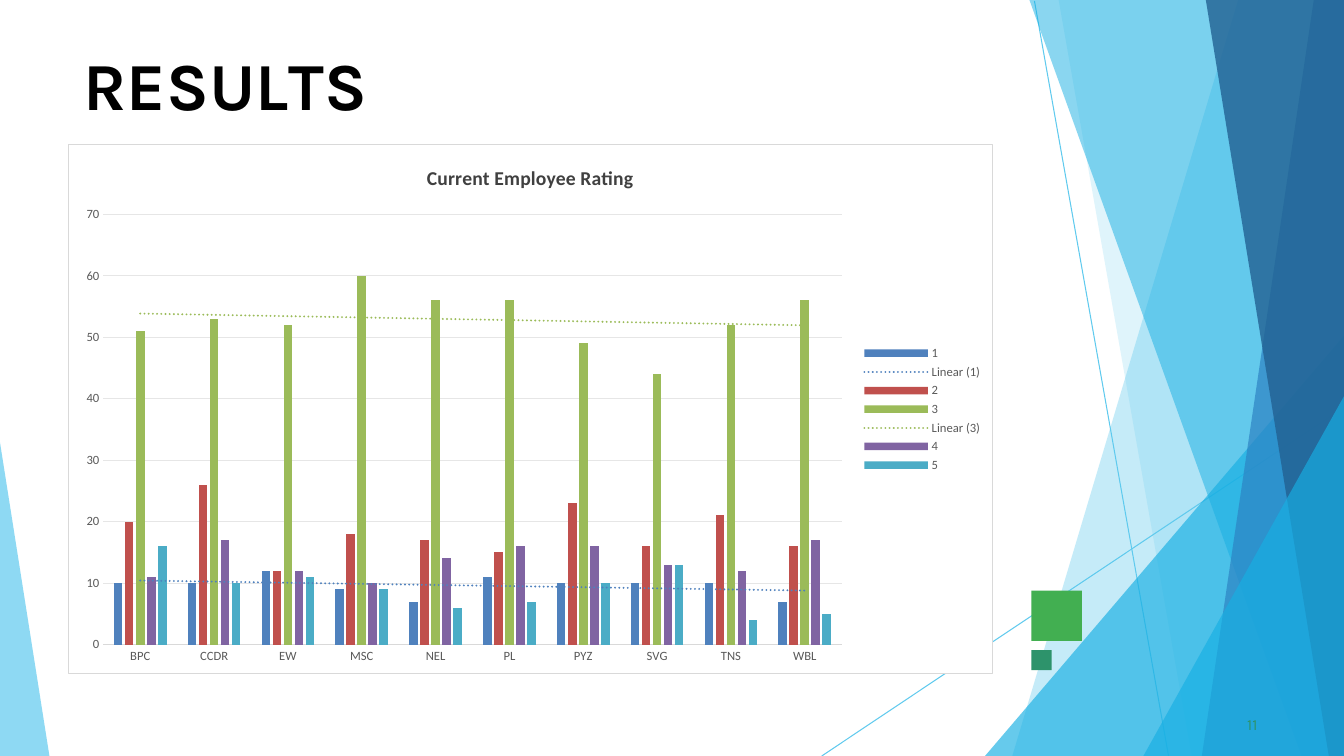
from typing import NamedTuple

from lxml import etree
from pptx import Presentation
from pptx import util as u
from pptx.chart import data as chart_data
from pptx.dml.color import RGBColor
from pptx.enum import chart as chart_enum
from pptx.enum import dml, shapes, text
from pptx.oxml import parse_xml
from pptx.oxml.ns import nsdecls, qn

SKY, CYAN, BLUE, NAVY = "5FCAEE", "17AFE3", "2D83C3", "226192"
LABEL_GREY = "595959"
WIDTH, HEIGHT = 13.33, 7.5


class Facet(NamedTuple):
    points: list[tuple[float, float]]
    color: str
    opacity: int


class Ray(NamedTuple):
    start: tuple[float, float]
    end: tuple[float, float]


class Square(NamedTuple):
    left: float
    top: float
    side: float
    color: str


class Rating(NamedTuple):
    name: str
    counts: list[int]
    color: str
    trend: bool = False


def right_facet(edge: list[tuple[float, float]], color: str, opacity: int) -> Facet:
    """Facet between its left edge and the right side of the slide."""
    return Facet([(WIDTH, edge[0][1]), *edge, (WIDTH, HEIGHT)], color, opacity)


RAYS = [Ray((10.26, 0.01), (11.59, 7.5)), Ray((13.33, 4.04), (8.15, 7.5))]
FACETS = [
    right_facet([(12.28, 0), (10.04, HEIGHT)], SKY, 36),
    right_facet([(10.5, 0), (11.82, HEIGHT)], SKY, 20),
    right_facet([(WIDTH, 3.33), (9.77, HEIGHT)], CYAN, 66),
    right_facet([(10.21, 0), (12.91, HEIGHT)], CYAN, 50),
    right_facet([(13.03, 0), (11.92, HEIGHT)], BLUE, 70),
    right_facet([(11.96, 0), (13.18, HEIGHT)], NAVY, 80),
    right_facet([(WIDTH, 3.93), (11.34, HEIGHT)], CYAN, 66),
    Facet([(0, 4.39), (0, HEIGHT), (0.49, HEIGHT)], SKY, 70),
]
SQUARES = [Square(10.23, 5.86, 0.5, "42AF51"), Square(10.23, 6.45, 0.2, "2D936B")]
TITLE_SPACING = [("R", 0), ("E", -0.4), ("S", 0.1), ("U", -0.3), ("L", -4), ("TS", 0)]
UNITS = ["BPC", "CCDR", "EW", "MSC", "NEL", "PL", "PYZ", "SVG", "TNS", "WBL"]
RATINGS = [
    Rating("1", [10, 10, 12, 9, 7, 11, 10, 10, 10, 7], "4F81BD", trend=True),
    Rating("2", [20, 26, 12, 18, 17, 15, 23, 16, 21, 16], "C0504D"),
    Rating("3", [51, 53, 52, 60, 56, 56, 49, 44, 52, 56], "9BBB59", trend=True),
    Rating("4", [11, 17, 12, 10, 14, 16, 16, 13, 12, 17], "8064A2"),
    Rating("5", [16, 10, 11, 9, 6, 7, 10, 13, 4, 5], "4BACC6"),
]


def rgb(color: str) -> RGBColor:
    return RGBColor.from_string(color)


def set_fill(shape, color: str, opacity: int = 100) -> None:
    shape.fill.solid()
    shape.fill.fore_color.rgb = rgb(color)
    if opacity < 100:
        color_element = shape._element.spPr.find(".//" + qn("a:srgbClr"))
        etree.SubElement(color_element, qn("a:alpha"), val=str(opacity * 1000))
    shape.line.fill.background()
    shape.shadow.inherit = False


def set_line(line, color: str, width: float = 0.75) -> None:
    line.color.rgb = rgb(color)
    line.width = u.Pt(width)


def set_font(font, size: float, color: str, name: str = "Calibri", bold: bool = False) -> None:
    font.size = u.Pt(size)
    font.name = name
    font.bold = bold
    font.color.rgb = rgb(color)


def add_text(paragraph, content: str, *, spacing: float = 0, **font_format) -> None:
    run = paragraph.add_run()
    run.text = content
    set_font(run.font, **font_format)
    run._r.get_or_add_rPr().set("spc", str(round(spacing * 100)))


def prepare_frame(shape):
    """Set tight margins at the top left and return the first paragraph."""
    frame = shape.text_frame
    frame.word_wrap = True
    frame.auto_size = text.MSO_AUTO_SIZE.NONE
    frame.vertical_anchor = text.MSO_ANCHOR.TOP
    frame.margin_left = frame.margin_right = frame.margin_bottom = 0
    frame.margin_top = u.Inches(0.01)
    paragraph = frame.paragraphs[0]
    paragraph.alignment = text.PP_ALIGN.LEFT
    paragraph.space_before = u.Pt(1)
    return paragraph


def add_ray(slide, ray: Ray) -> None:
    ends = [u.Inches(value) for value in (*ray.start, *ray.end)]
    connector = slide.shapes.add_connector(shapes.MSO_CONNECTOR.STRAIGHT, *ends)
    set_line(connector.line, SKY)
    etree.SubElement(connector._element.spPr, qn("a:effectLst"))


def add_facet(slide, facet: Facet) -> None:
    points = [(u.Inches(x), u.Inches(y)) for x, y in facet.points]
    builder = slide.shapes.build_freeform(*points[0])
    builder.add_line_segments(points[1:], close=True)
    set_fill(builder.convert_to_shape(), facet.color, facet.opacity)


def add_square(slide, square: Square) -> None:
    box = [u.Inches(v) for v in (square.left, square.top, square.side, square.side)]
    set_fill(slide.shapes.add_shape(shapes.MSO_SHAPE.RECTANGLE, *box), square.color)


def add_trend(series, color: str) -> None:
    trend = parse_xml(
        f'<c:trendline {nsdecls("c", "a")}><c:spPr><a:ln w="19050" cap="rnd">'
        f'<a:solidFill><a:srgbClr val="{color}"/></a:solidFill><a:prstDash val="sysDot"/>'
        '</a:ln></c:spPr><c:trendlineType val="linear"/><c:dispRSqr val="0"/>'
        '<c:dispEq val="0"/></c:trendline>'
    )
    series._element.find(qn("c:cat")).addprevious(trend)


def frame_chart(chart) -> None:
    """Give the chart area a white fill and a thin grey border."""
    area = parse_xml(
        f'<c:spPr {nsdecls("c", "a")}><a:solidFill><a:srgbClr val="FFFFFF"/></a:solidFill>'
        '<a:ln w="9525"><a:solidFill><a:srgbClr val="D9D9D9"/></a:solidFill></a:ln></c:spPr>'
    )
    chart._chartSpace.find(qn("c:chart")).addnext(area)


def format_axes(chart) -> None:
    for axis in (chart.category_axis, chart.value_axis):
        axis.major_tick_mark = axis.minor_tick_mark = chart_enum.XL_TICK_MARK.NONE
        set_font(axis.tick_labels.font, 9, LABEL_GREY)
    set_line(chart.category_axis.format.line, "D9D9D9")
    values = chart.value_axis
    values.minimum_scale, values.maximum_scale, values.major_unit = 0, 70, 10
    values.format.line.fill.background()
    set_line(values.major_gridlines.format.line, "E6E6E6")


def add_rating_chart(slide) -> None:
    ratings = chart_data.CategoryChartData()
    ratings.categories = UNITS
    for rating in RATINGS:
        ratings.add_series(rating.name, rating.counts)
    box = [u.Inches(value) for value in (0.67, 1.43, 9.18, 5.26)]
    chart = slide.shapes.add_chart(
        chart_enum.XL_CHART_TYPE.COLUMN_CLUSTERED, *box, ratings
    ).chart
    set_font(chart.font, 10, "000000")
    frame_chart(chart)

    chart.has_title = True
    add_text(chart.chart_title.text_frame.paragraphs[0], "Current Employee Rating",
             size=14, color="404040", bold=True)
    chart.chart_title.include_in_layout = False
    chart.has_legend = True
    chart.legend.position = chart_enum.XL_LEGEND_POSITION.RIGHT
    chart.legend.include_in_layout = False
    set_font(chart.legend.font, 9, LABEL_GREY)
    format_axes(chart)

    plot = chart.plots[0]
    plot.gap_width, plot.overlap, plot.vary_by_categories = 246, -28, False
    for series, rating in zip(plot.series, RATINGS):
        series.format.fill.solid()
        series.format.fill.fore_color.rgb = rgb(rating.color)
        if rating.trend:
            add_trend(series, rating.color)


def main() -> None:
    presentation = Presentation()
    presentation.slide_width, presentation.slide_height = u.Inches(WIDTH), u.Inches(HEIGHT)
    slide = presentation.slides.add_slide(presentation.slide_layouts.get_by_name("Title Only"))
    for ray in RAYS:
        add_ray(slide, ray)
    for facet in FACETS:
        add_facet(slide, facet)
    for square in SQUARES:
        add_square(slide, square)

    title = slide.shapes.title
    title.left, title.top = u.Inches(0.83), u.Inches(0.42)
    title.width, title.height = u.Inches(11.68), u.Inches(2.39)
    heading = prepare_frame(title)
    for letters, spacing in TITLE_SPACING:
        add_text(heading, letters, spacing=spacing, size=48, color="000000",
                 name="Karla", bold=True)

    number_box = [u.Inches(value) for value in (12.33, 7.08, 0.25, 0.21)]
    number = prepare_frame(slide.shapes.add_textbox(*number_box))
    number._p.get_or_add_pPr().set("marL", str(u.Inches(0.04)))
    add_text(number, "11", spacing=0.1, size=11, color="2D936B", name="Karla")
    add_rating_chart(slide)
    presentation.save("out.pptx")


if __name__ == "__main__":
    main()
